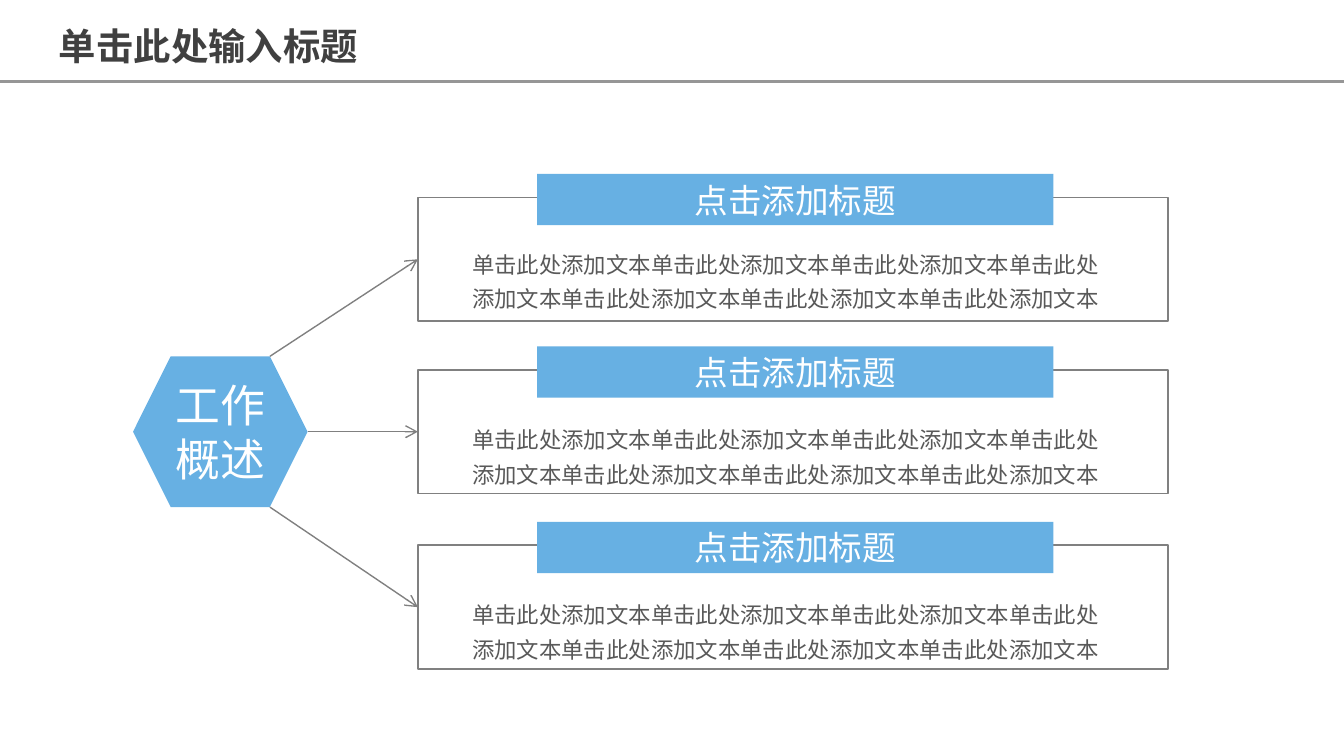
from dataclasses import dataclass

from lxml.etree import SubElement
from pptx import Presentation
from pptx.dml.color import RGBColor
from pptx.enum.shapes import MSO_CONNECTOR as Connector, MSO_SHAPE as Shape
from pptx.enum.text import MSO_ANCHOR as Anchor, MSO_AUTO_SIZE as AutoSize, PP_ALIGN as Align
from pptx.oxml.ns import qn
from pptx.util import Pt


@dataclass(frozen=True)
class Theme:
    font: str = "Noto Sans CJK SC"
    blue: str = "67B0E3"
    white: str = "FFFFFF"
    outline: str = "808080"
    rule: str = "969696"
    heading: str = "404040"
    body: str = "595959"
    title_size: float = 20
    hub_size: float = 24
    label_size: float = 18
    body_size: float = 12


THEME = Theme()
TITLE = "单击此处输入标题"
HUB = "工作概述"
LABEL = "点击添加标题"
DETAIL = "单击此处添加文本" * 7

# Layout in points
FRAME_LEFT, FRAME_WIDTH, FRAME_HEIGHT = 223.9, 401.8, 66.2
FRAME_TOPS = (105.8, 198.2, 292.2)
LABEL_RISE = 12.6
DETAIL_TOP, DETAIL_PITCH = 127.3, 94
HUB_BOX = (71.3, 190.9, 93.5, 80.8)


def rgb(value):
    return RGBColor.from_string(value)


def write(shape, text, size, color, bold=None, align=None, spacing=None,
          margins=(5.4, 2.7), **frame_format):
    """Put one formatted paragraph into a shape."""
    frame = shape.text_frame
    across, down = margins
    settings = {
        "word_wrap": True,
        "margin_left": Pt(across), "margin_right": Pt(across),
        "margin_top": Pt(down), "margin_bottom": Pt(down),
        **frame_format,
    }
    for name, value in settings.items():
        setattr(frame, name, value)
    paragraph = frame.paragraphs[0]
    paragraph.alignment = align
    paragraph.line_spacing = spacing
    run = paragraph.add_run()
    run.text = text
    for name, value in {"name": THEME.font, "size": Pt(size), "bold": bold}.items():
        setattr(run.font, name, value)
    run.font.color.rgb = rgb(color)
    # East Asian characters take their own typeface
    SubElement(run.font._element, qn("a:ea"), typeface=THEME.font)


def add_block(slide, kind, box, text, size):
    """Filled blue shape with centred white text."""
    block = slide.shapes.add_shape(kind, *map(Pt, box))
    block.shadow.inherit = False
    block.fill.solid()
    block.fill.fore_color.rgb = rgb(THEME.blue)
    block.line.fill.background()
    write(block, text, size, THEME.white, align=Align.CENTER,
          vertical_anchor=Anchor.MIDDLE)


def add_frame(slide, top):
    frame = slide.shapes.add_shape(
        Shape.RECTANGLE, *map(Pt, (FRAME_LEFT, top, FRAME_WIDTH, FRAME_HEIGHT)))
    frame.shadow.inherit = False
    frame.fill.background()
    frame.line.color.rgb = rgb(THEME.outline)
    frame.line.width = Pt(1)
    return frame


def add_text(slide, box, text, size, color, **text_format):
    label = slide.shapes.add_textbox(*map(Pt, box))
    write(label, text, size, color, auto_size=AutoSize.SHAPE_TO_FIT_TEXT, **text_format)


def add_line(slide, start, end, color, width, target=None):
    """Straight line; with a target it ends in an arrow at its left side."""
    line = slide.shapes.add_connector(Connector.STRAIGHT, *map(Pt, (*start, *end)))
    line.line.color.rgb = rgb(color)
    line.line.width = Pt(width)
    if target is not None:
        line.end_connect(target, 1)
        SubElement(line.line._get_or_add_ln(), qn("a:tailEnd"), type="arrow")
    SubElement(line._element.spPr, qn("a:effectLst"))


def main():
    deck = Presentation()
    deck.slide_width, deck.slide_height = Pt(720), Pt(405)
    slide = deck.slides.add_slide(deck.slide_layouts[6])

    # Title and rule
    add_line(slide, (0, 43.7), (720, 43.7), THEME.rule, 1.75)
    add_text(slide, (24.5, 4.3, 188, 36), TITLE, THEME.title_size, THEME.heading,
             bold=True, spacing=1.2, margins=(7.2, 3.6))

    # Hub, and the corners its arrows leave from
    add_block(slide, Shape.HEXAGON, HUB_BOX, HUB, THEME.hub_size)
    left, top, width, height = HUB_BOX
    right, bottom = left + width, top + height
    corner = right - height / 4
    exits = ((corner, top), (right, top + height / 2), (corner, bottom))

    # Framed topics
    for row, (frame_top, leave) in enumerate(zip(FRAME_TOPS, exits)):
        frame = add_frame(slide, frame_top)
        add_block(slide, Shape.RECTANGLE, (287.7, frame_top - LABEL_RISE, 276.7, 27.4),
                  LABEL, THEME.label_size)
        add_line(slide, leave, (FRAME_LEFT, frame_top + FRAME_HEIGHT / 2),
                 THEME.outline, 0.75, target=frame)
        add_text(slide, (247.5, DETAIL_TOP + row * DETAIL_PITCH, 357, 43), DETAIL,
                 THEME.body_size, THEME.body, spacing=1.3)

    deck.save("out.pptx")


if __name__ == "__main__":
    main()
